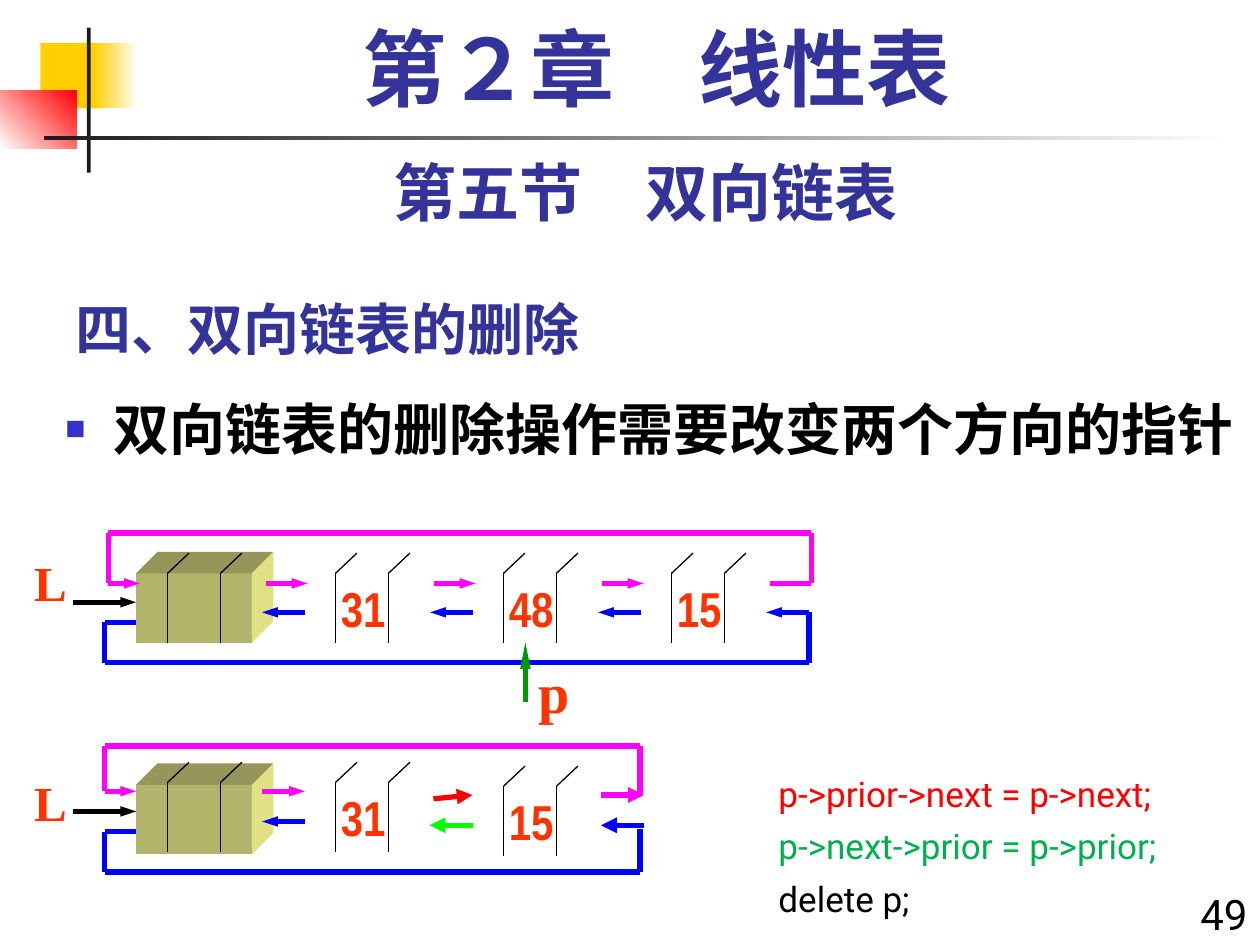
from lxml.etree import SubElement
from pptx import Presentation
from pptx.dml.color import RGBColor
from pptx.enum.shapes import MSO_CONNECTOR, MSO_SHAPE
from pptx.enum.text import MSO_ANCHOR, PP_ALIGN
from pptx.oxml.ns import qn
from pptx.util import Inches, Pt

INK, NAVY, RUST = "000000", "333399", "FF3300"
BLUE, PINK, GREEN = "0000FF", "FF00FF", "009900"
CJK, SANS, SERIF, SLIM = "Noto Sans CJK SC", "Roboto", "Times New Roman", "Arial Narrow"
LEFT, MID, RIGHT = PP_ALIGN.LEFT, PP_ALIGN.CENTER, PP_ALIGN.RIGHT
TOP, CENTER, BOTTOM = MSO_ANCHOR.TOP, MSO_ANCHOR.MIDDLE, MSO_ANCHOR.BOTTOM
hue = RGBColor.from_string

deck = Presentation()
deck.slide_width, deck.slide_height = Inches(10), Inches(7.5)
slide = deck.slides.add_slide(deck.slide_layouts[6])
shapes = slide.shapes


def text(box, lines, size, face, bold=True, align=LEFT, anchor=TOP, wrap=True):
    """Add a text box; lines holds one (words, colour) pair per paragraph."""
    frame = shapes.add_textbox(*map(Inches, box)).text_frame
    frame.word_wrap, frame.vertical_anchor = wrap, anchor
    for i, (words, tint) in enumerate(lines):
        para = frame.add_paragraph() if i else frame.paragraphs[0]
        para.alignment = align
        if i:
            para.space_before = Pt(6)
        run = para.add_run()
        run.text = words
        font = run.font
        font.size, font.bold, font.name = Pt(size), bold, face
        font.color.rgb = hue(tint)
        SubElement(run._r.get_or_add_rPr(), qn("a:ea"), typeface=CJK)
    return frame.paragraphs[0]


def wire(points, tint, head=None, width=3):
    """Join the points with lines; head is the (width, length) of an end arrow."""
    for i in range(len(points) - 1):
        start, end = points[i], points[i + 1]
        line = shapes.add_connector(MSO_CONNECTOR.STRAIGHT, *map(Inches, start + end))
        line.line.color.rgb, line.line.width = hue(tint), Pt(width)
        props = line._element.spPr
        if head and i == len(points) - 2:
            SubElement(props.find(qn("a:ln")), qn("a:tailEnd"),
                       type="triangle", w=head[0], len=head[1])
        SubElement(props, qn("a:effectLst"))


# Corner ornament and rule: box, colours, gradient angle
for box, tints, angle in [
    ((0.32, 0.34, 0.48, 0.52), ["FFCF01"], 0),
    ((0.74, 0.34, 0.36, 0.52), ["FFCF01", "FFFFFF"], 0),
    ((0, 0.72, 0.61, 0.46), ["FFFFFF", "FF0000"], 45),
    ((0.69, 0.22, 0.03, 1.15), ["1C1C1C"], 0),
    ((0.35, 1.08, 9.45, 0.03), ["1C1C1C", "FFFFFF"], 0),
]:
    block = shapes.add_shape(MSO_SHAPE.RECTANGLE, *map(Inches, box))
    block.shadow.inherit = False
    block.line.fill.background()
    if len(tints) == 1:
        block.fill.solid()
        block.fill.fore_color.rgb = hue(tints[0])
    else:
        block.fill.gradient()
        block.fill.gradient_angle = angle
        for stop, tint in zip(block.fill.gradient_stops, tints):
            stop.color.rgb = hue(tint)

# Headings
text((0.5, 2.17, 6.25, 0.75), [("四、双向链表的删除", NAVY)], 32, CJK, anchor=BOTTOM)
text((9.33, 7, 0.67, 0.5), [("49", INK)], 24, SANS, bold=False, align=RIGHT)
text((0.5, 1.17, 9.25, 0.7), [("第五节　双向链表", NAVY)], 36, SANS, align=MID)
chapter = text((0.67, 0.17, 9.08, 0.83), [("第２章　线性表", NAVY)], 48, SERIF, align=MID)
chapter.line_spacing = 0.9

point = text((0.42, 3.08, 9.58, 1.67),
             [("双向链表的删除操作需要改变两个方向的指针", INK)], 32, SANS)
props = point._p.get_or_add_pPr()
props.set("marL", str(Inches(0.38)))
props.set("indent", str(-Inches(0.38)))
SubElement(SubElement(props, qn("a:buClr")), qn("a:srgbClr"), val="3333CC")
SubElement(props, qn("a:buSzPct"), val="60000")
SubElement(props, qn("a:buFont"), typeface="Arial")
SubElement(props, qn("a:buChar"), char="■")

# Nodes of both lists: top of the cells, top of the head block, label top, values
STEP, CELL, LEAN, TALL = 4 / 3, 0.42, 0.17, 0.55
for top, front, label, values in [
    (4.55, 4.55, 4.33, ["31", "48", "15"]),
    (6.21, 6.23, 6.08, ["31", "15"]),
]:
    x, far, base = 1.08, 2.0, front + TALL
    back, side = front - LEAN, far + LEAN
    for tint, corners in [
        ("B3B36B", [(x, front), (far, front), (far, base), (x, base)]),
        ("96965A", [(x, front), (x + LEAN, back), (side, back), (far, front)]),
        ("E0E084", [(far, front), (side, back), (side, base - LEAN), (far, base)]),
    ]:
        dots = [(Inches(a), Inches(b)) for a, b in corners]
        pen = shapes.build_freeform(*dots[0])
        pen.add_line_segments(dots[1:])
        face = pen.convert_to_shape()
        face.shadow.inherit = False
        face.fill.solid()
        face.fill.fore_color.rgb = hue(tint)
        face.line.fill.background()

    text((0.17, label, 0.46, 0.57), [("L", RUST)], 28, SERIF,
         align=MID, anchor=CENTER, wrap=False)
    wire([(0.58, top + 0.23), (1.08, top + 0.23)], INK, ("sm", "med"))
    for i, value in enumerate([""] + values):
        left = 1.33 + i * STEP
        drop = 0.03 if value == "15" and len(values) == 2 else 0
        for edge in (left, left + CELL):
            wire([(edge + LEAN, top + drop - 0.16), (edge, top + drop),
                  (edge, top + drop + TALL)], INK, width=0.75)
        if value:
            text((left - 0.06, top + drop - 0.01, 0.56, 0.57), [(value, RUST)], 28,
                 SLIM, align=MID, anchor=CENTER, wrap=False)

# Links of the full list
SLIGHT, BROAD = ("sm", "med"), ("med", "med")
for i in range(4):
    x = 2.08 + i * STEP
    wire([(x + 0.34, 4.86), (x, 4.86)], BLUE, SLIGHT)
    if i < 3:
        wire([(x + 0.03, 4.63), (x + 0.36, 4.63)], PINK, SLIGHT)
wire([(6.42, 4.86), (6.42, 5.26), (0.83, 5.26), (0.83, 4.94), (1.08, 4.94)], BLUE)
wire([(6.11, 4.63), (6.44, 4.63), (6.44, 4.23), (0.86, 4.23), (0.86, 4.63),
      (1.11, 4.63)], PINK, SLIGHT)
wire([(4.17, 5.57), (4.17, 5.1)], GREEN, ("sm", "lg"))
text((4.17, 5.17, 0.45, 0.63), [("p", RUST)], 32, SERIF,
     align=MID, anchor=CENTER, wrap=False)

# Links after the deletion
wire([(2.42, 6.52), (2.08, 6.52)], BLUE, SLIGHT)
wire([(5.11, 6.55), (4.77, 6.55)], BLUE, BROAD)
wire([(5.08, 6.58), (5.08, 6.92), (0.83, 6.92), (0.83, 6.6), (1.08, 6.6)], BLUE)
wire([(2.08, 6.28), (2.42, 6.28)], PINK, SLIGHT)
wire([(4.77, 6.31), (5.11, 6.31)], PINK, BROAD)
wire([(5.08, 6.31), (5.08, 5.92), (0.83, 5.92), (0.83, 6.28), (1.08, 6.28)],
     PINK, SLIGHT)
wire([(3.75, 6.55), (3.41, 6.55)], "00FF00", BROAD)
wire([(3.44, 6.34), (3.75, 6.31)], "FF0000", BROAD)

text((6.08, 6.08, 3.92, 1.31),
     [("p->prior->next = p->next;", "FF0000"),
      ("p->next->prior = p->prior;", "00B050"),
      ("delete p;", INK)], 20, SANS, bold=False)

deck.save("out.pptx")
